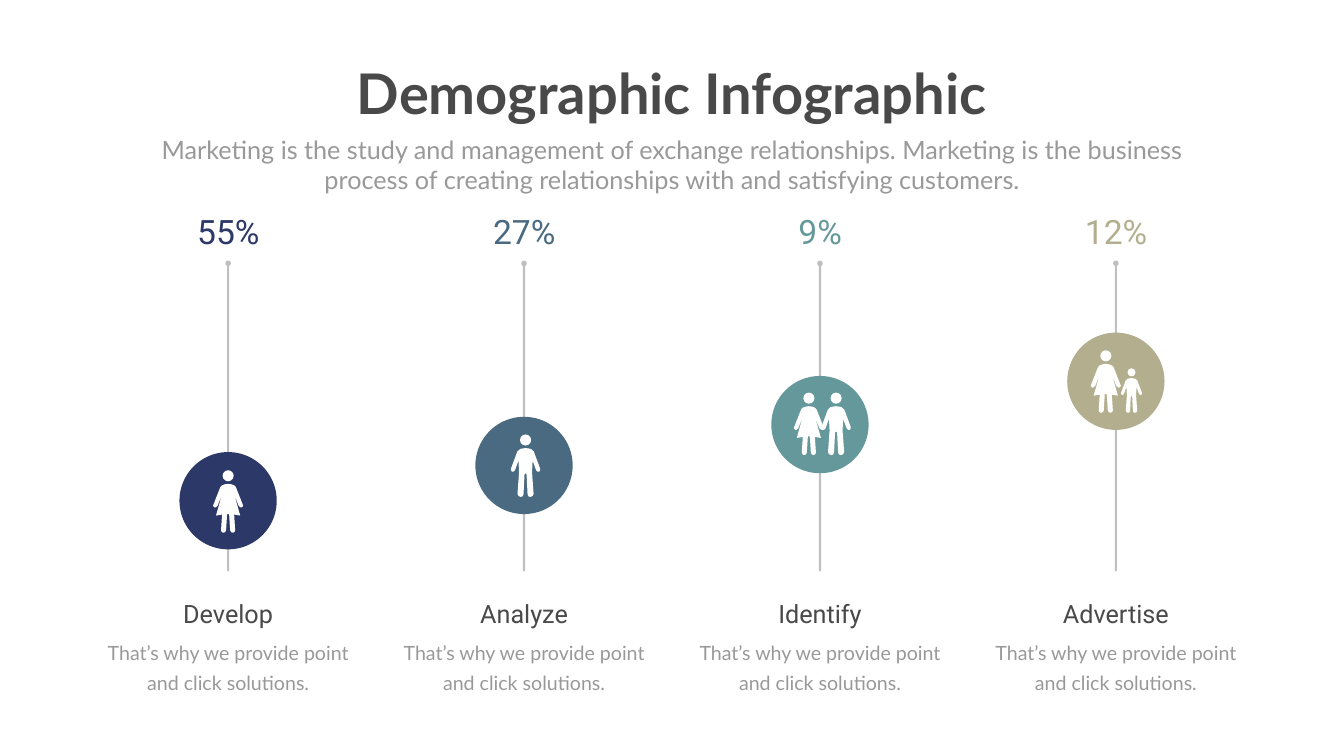
import pptx
import pptx.util
import pptx.dml.color
import pptx.enum.shapes
import pptx.enum.text
import pptx.oxml.ns
import lxml.etree

Inches = pptx.util.Inches
Pt = pptx.util.Pt
SHAPE = pptx.enum.shapes.MSO_SHAPE

COLORS = {
    "navy": "2C3867", "steel": "496A80", "teal": "65989B", "sand": "B3AF8E",
    "heading": "494949", "body": "999999", "track": "808080",
    "knob": "BFBFBF", "white": "FFFFFF",
}

MAN = [
    (0, .27), (.07, .28), (.11, .29), (.14, .32), (.16, .33), (.29, .68),
    (.29, .71), (.27, .74), (.24, .74), (.21, .71), (.14, .52), (.13, .73),
    (.13, .77), (.16, 1.18), (.14, 1.22), (.1, 1.24), (.06, 1.23),
    (.04, 1.19), (.02, .79), (0, .77),
]
WOMAN = [
    (0, .27), (.07, .28), (.12, .3), (.15, .33), (.16, .35), (.29, .68),
    (.3, .71), (.27, .74), (.25, .74), (.21, .71), (.13, .5), (.13, .51),
    (.24, .9), (.12, .88), (.14, 1.19), (.13, 1.22), (.1, 1.24),
    (.06, 1.23), (.04, 1.19), (.02, .87), (0, .87),
]

BLURB = "That’s why we provide point and click solutions."
SUBTITLE = (
    "Marketing is the study and management of exchange relationships. "
    "Marketing is the business process of creating relationships with "
    "and satisfying customers."
)
COLUMNS = [
    ("55%", "Develop", "navy", 8.97, [(WOMAN, 0, .36, 1)]),
    ("27%", "Analyze", "steel", 8.27, [(MAN, .03, .35, 1)]),
    ("9%", "Identify", "teal", 7.46, [(MAN, .32, .33, 1), (WOMAN, -.22, .33, 1)]),
    ("12%", "Advertise", "sand", 6.6, [(WOMAN, -.2, .35, 1), (MAN, .31, .71, .71)]),
]


def rgb(color):
    return pptx.dml.color.RGBColor.from_string(COLORS[color])


def paint(shape, color):
    shape.shadow.inherit = False
    shape.fill.solid()
    shape.fill.fore_color.rgb = rgb(color)
    shape.line.fill.background()


def add_text(slide, box, text, size, font, color, bold=False, spacing=None, wrap=True):
    frame = slide.shapes.add_textbox(*map(Inches, box)).text_frame
    frame.word_wrap = wrap
    frame.auto_size = pptx.enum.text.MSO_AUTO_SIZE.SHAPE_TO_FIT_TEXT
    frame.text = text
    paragraph = frame.paragraphs[0]
    paragraph.alignment = pptx.enum.text.PP_ALIGN.CENTER
    if spacing:
        paragraph.line_spacing = Pt(spacing)
    run_font = paragraph.runs[0].font
    run_font.name = font
    run_font.size = Pt(size)
    run_font.bold = bold
    run_font.color.rgb = rgb(color)


def add_disc(slide, center, top, diameter, color):
    disc = slide.shapes.add_shape(
        SHAPE.OVAL, Inches(center - diameter / 2), Inches(top),
        Inches(diameter), Inches(diameter))
    paint(disc, color)


def add_track(slide, center, top, bottom):
    track = slide.shapes.add_connector(
        pptx.enum.shapes.MSO_CONNECTOR.STRAIGHT,
        Inches(center), Inches(top), Inches(center), Inches(bottom))
    track.line.width = Pt(3)
    track.line.color.rgb = rgb("track")
    qn = pptx.oxml.ns.qn
    properties = track._element.spPr
    tint = properties.find(".//" + qn("a:srgbClr"))
    lxml.etree.SubElement(tint, qn("a:alpha")).set("val", "50000")
    lxml.etree.SubElement(properties, qn("a:effectLst"))


def add_person(slide, center, top, half_outline, scale):
    mirrored = [(-x, y) for x, y in reversed(half_outline)]
    points = [(Inches(center + x * scale), Inches(top + y * scale))
              for x, y in half_outline + mirrored]
    builder = slide.shapes.build_freeform(*points[0])
    builder.add_line_segments(points[1:], close=True)
    paint(builder.convert_to_shape(), "white")
    add_disc(slide, center, top, .22 * scale, "white")


def add_header(slide, left, top, width):
    center = left + width / 2
    add_text(slide, (center - 6.47, top, 12.93, 1.45), "Demographic Infographic",
             80, "Lato", "heading", bold=True, wrap=False)
    add_text(slide, (left, top + 1.49, width, 1.31), SUBTITLE, 36, "Lato", "body")


def add_column(slide, left, top, width, column):
    percent, label, color, disc_top, people = column
    center = left + width / 2
    add_track(slide, center, top + 1.12, top + 7.2)
    add_disc(slide, center, disc_top, 1.93, color)
    add_disc(slide, center, top + 1.04, .11, "knob")
    add_text(slide, (left, top + 8.41, width, 1.24), BLURB, 28, "Lato", "body", spacing=43)
    add_text(slide, (left, top + 7.7, width, .71), label, 36, "Roboto", "heading")
    add_text(slide, (center - 1.02, top, 2.05, .91), percent, 48, "Roboto", color)
    for half_outline, shift, drop, scale in people:
        add_person(slide, center + shift, disc_top + drop, half_outline, scale)


deck = pptx.Presentation()
deck.slide_width = Inches(26.66)
deck.slide_height = Inches(15)
demographics = deck.slides.add_slide(deck.slide_layouts[6])
add_header(demographics, 2.92, 1.12, 20.82)
for index, column in enumerate(COLUMNS):
    add_column(demographics, 2 + index * 5.87, 4.13, 5.05, column)
deck.save("out.pptx")
